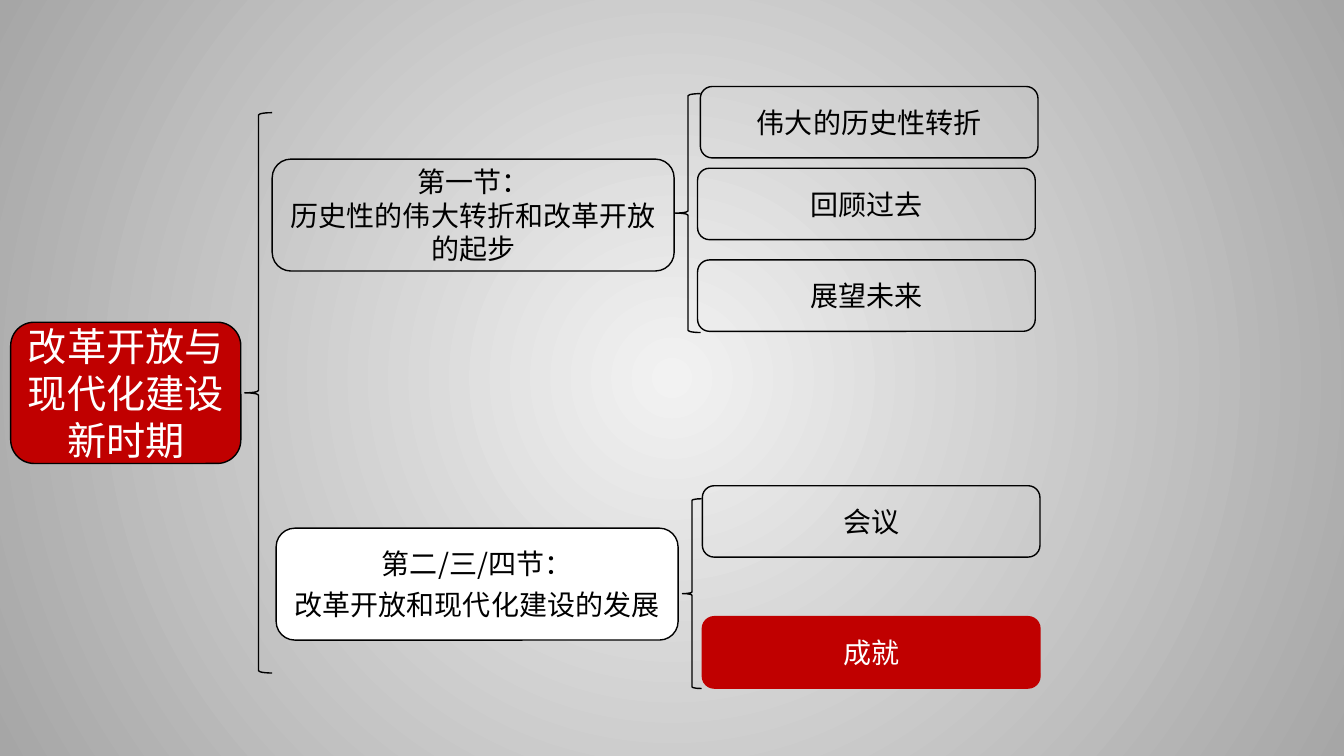
from pptx import Presentation, util as u
from pptx.dml.color import RGBColor
from pptx.enum import shapes, text
from pptx.oxml import parse_xml, ns

RED = RGBColor(0xC0, 0x00, 0x00)
WHITE = RGBColor(0xFF, 0xFF, 0xFF)
BLACK = RGBColor(0x00, 0x00, 0x00)
PALE = RGBColor(0xF2, 0xF2, 0xF2)
GREY = RGBColor(0xA6, 0xA6, 0xA6)
FONT = "Noto Sans CJK SC"

ROOT = ["改革开放与现代化建设新时期"]
PARTS = [
    {
        "lines": ["第一节：", "历史性的伟大转折和改革开放的起步"],
        "at": (6.86, 4.01),
        "fill": None,
        "gap": 0,
        "brace": (17.02, 2.36, 0.64, 6.02),
        "leaves": [
            ("伟大的历史性转折", 17.65, 2.18, None),
            ("回顾过去", 17.58, 4.24, None),
            ("展望未来", 17.58, 6.55, None),
        ],
    },
    {
        "lines": ["第二/三/四节：", "改革开放和现代化建设的发展"],
        "at": (6.96, 13.31),
        "fill": WHITE,
        "gap": 5.4,
        "brace": (17.2, 12.57, 0.48, 4.78),
        "leaves": [
            ("会议", 17.7, 12.24, None),
            ("成就", 17.7, 15.54, RED),
        ],
    },
]
PART_SIZE = (10.13, 2.82)
LEAF_SIZE = (8.51, 1.8)


def draw(kind, area, fill=None, edge=BLACK):
    item = slide.shapes.add_shape(kind, *map(u.Cm, area))
    item.shadow.inherit = False
    if fill is None:
        item.fill.background()
    else:
        item.fill.solid()
        item.fill.fore_color.rgb = fill
    item.line.color.rgb = edge
    item.line.width = u.Pt(1)
    return item


def write(item, lines, size=20, color=BLACK, gap=0):
    frame = item.text_frame
    frame.word_wrap = True
    frame.vertical_anchor = text.MSO_ANCHOR.MIDDLE
    frame.margin_left = frame.margin_right = u.Cm(0.2)
    for i, line in enumerate(lines):
        para = frame.paragraphs[0] if i == 0 else frame.add_paragraph()
        para.alignment = text.PP_ALIGN.CENTER
        para.line_spacing = u.Pt(size * 1.2)
        if i and gap:
            para.space_before = u.Pt(gap)
        run = para.add_run()
        run.text = line
        run.font.name = FONT
        run.font.size = u.Pt(size)
        run.font.color.rgb = color
        east = run.font.language_id
        props = run._r.get_or_add_rPr()
        props.append(parse_xml(f'<a:ea {ns.nsdecls("a")} typeface="{FONT}"/>'))


def box(lines, area, fill=None, edge=BLACK, **form):
    item = draw(shapes.MSO_SHAPE.ROUNDED_RECTANGLE, area, fill, edge)
    write(item, lines, **form)


def brace(area):
    draw(shapes.MSO_SHAPE.LEFT_BRACE, area)


def shade():
    fill = slide.background.fill
    fill.gradient()
    for stop, color in zip(fill.gradient_stops, (PALE, GREY)):
        stop.color.rgb = color
    grad = slide._element.find(".//" + ns.qn("a:gradFill"))
    grad.replace(grad.find(ns.qn("a:lin")), parse_xml(
        f'<a:path {ns.nsdecls("a")} path="circle">'
        '<a:fillToRect l="50000" t="50000" r="50000" b="50000"/></a:path>'))


deck = Presentation()
deck.slide_width = u.Cm(33.87)
deck.slide_height = u.Cm(19.05)
slide = deck.slides.add_slide(deck.slide_layouts[6])
shade()

box(ROOT, (0.27, 8.12, 5.8, 3.56), RED, size=28, color=WHITE)
brace((6.17, 2.84, 0.69, 14.12))
for part in PARTS:
    box(part["lines"], part["at"] + PART_SIZE, part["fill"], gap=part["gap"])
    brace(part["brace"])
    for name, left, top, fill in part["leaves"]:
        box([name], (left, top) + LEAF_SIZE, fill, fill or BLACK,
            color=WHITE if fill else BLACK)

deck.save("out.pptx")
